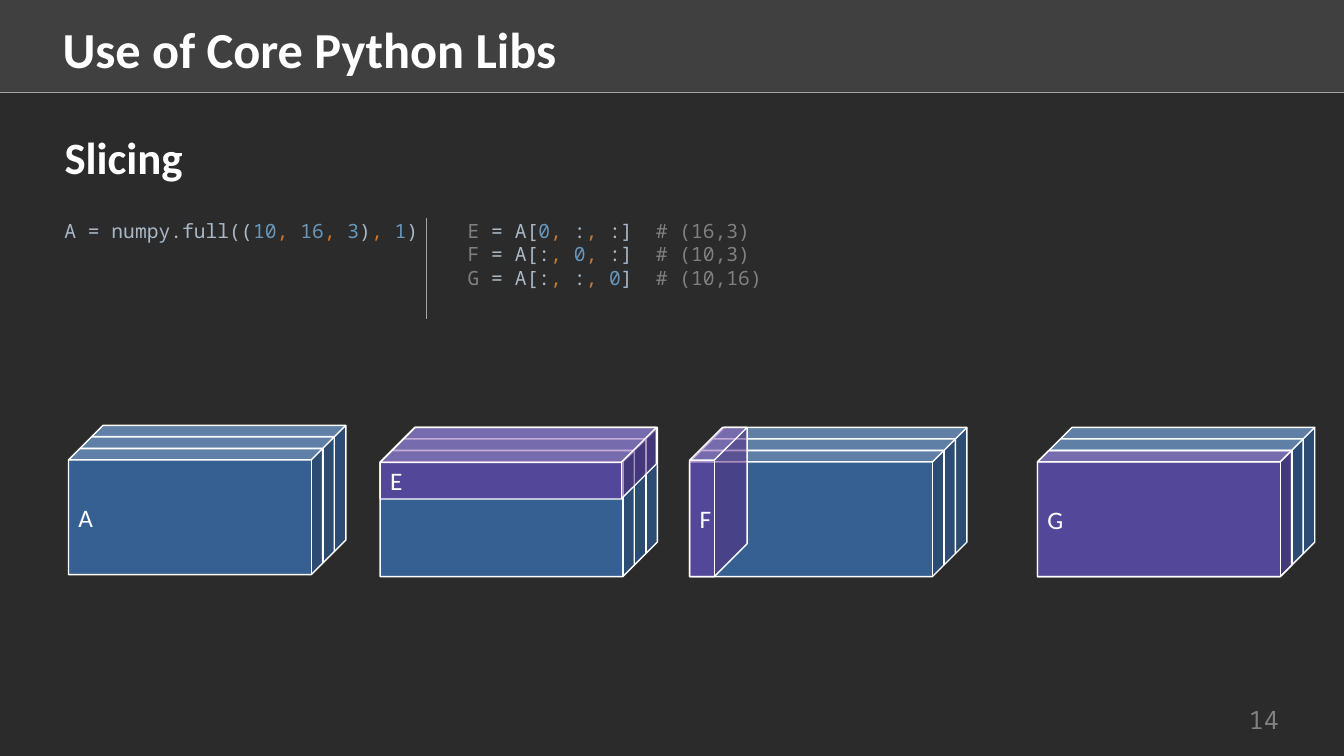
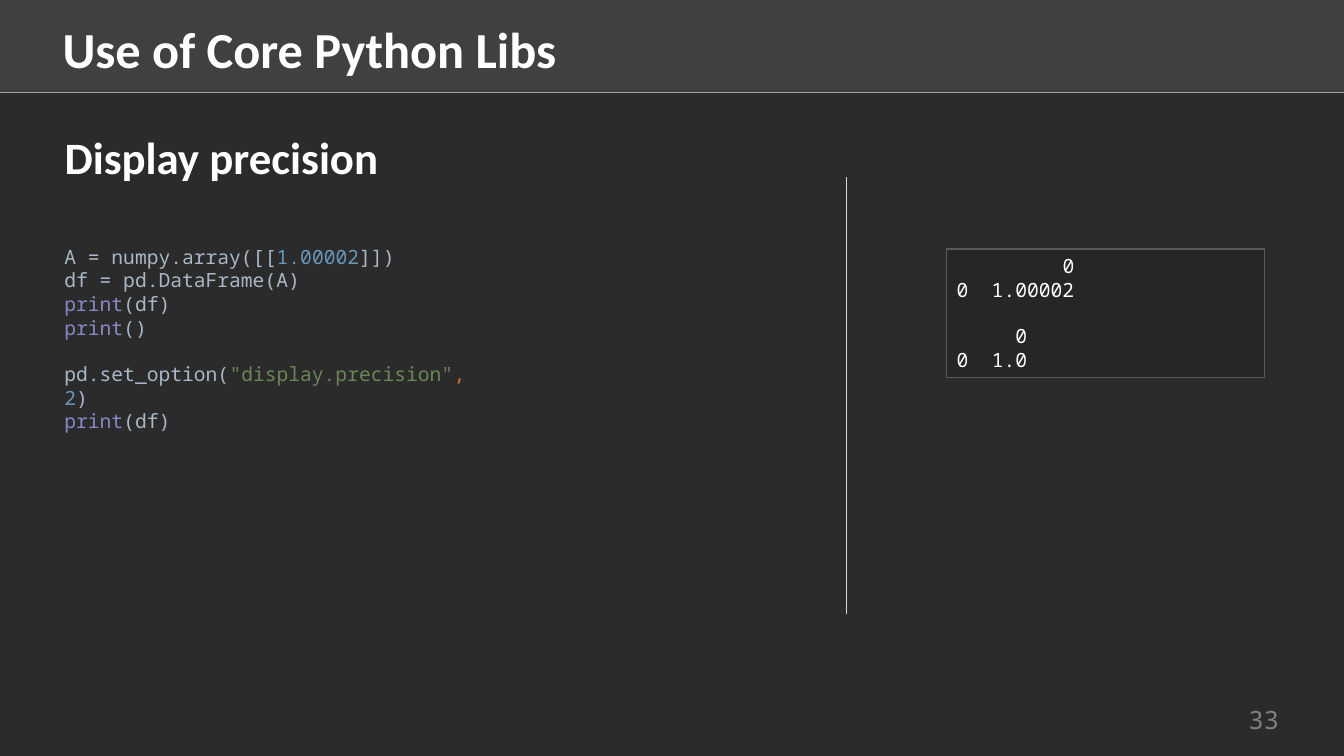
from lxml import etree
from pptx import Presentation
from pptx import util as u
from pptx.dml.color import RGBColor
from pptx.enum import shapes, text
from pptx.oxml import ns

BACKGROUND = RGBColor(0x2B, 0x2B, 0x2B)
BAND = RGBColor(0x40, 0x40, 0x40)
RULE = RGBColor(0xA6, 0xA6, 0xA6)
DIVIDER = RGBColor(0xD9, 0xD9, 0xD9)
WHITE = RGBColor(0xFF, 0xFF, 0xFF)
GRAY = RGBColor(0x80, 0x80, 0x80)
CODE = RGBColor(0xA9, 0xB7, 0xC6)
NUMBER = RGBColor(0x68, 0x97, 0xBB)
COMMA = RGBColor(0xCC, 0x78, 0x32)
BUILTIN = RGBColor(0x88, 0x88, 0xC6)
STRING = RGBColor(0x6A, 0x87, 0x59)
OUTPUT_FILL = RGBColor(0x26, 0x26, 0x26)
OUTPUT_LINE = RGBColor(0x59, 0x59, 0x59)
BLUE = RGBColor(0x37, 0x60, 0x92)
PURPLE = RGBColor(0x70, 0x30, 0xA0)

SANS, MONO = "Calibri", "Noto Sans Mono"
CODE_SIZE = 14
BLANK_LINE = u.Pt(16.5)
CHARACTER = u.Pt(CODE_SIZE * 0.6)
TITLE = "Use of Core Python Libs"
BAND_HEIGHT = 0.92

SEPARATOR = (", ", COMMA)
COLON = (":", CODE)
ZERO = ("0", NUMBER)
PRINT = ("print", BUILTIN)

ARRAY_CODE = [
    [("A = numpy.full((", CODE), ("10", NUMBER), SEPARATOR, ("16", NUMBER), SEPARATOR,
     ("3", NUMBER), (")", CODE), SEPARATOR, ("1", NUMBER), (")", CODE)],
]
SLICES = [
    ("E", [ZERO, COLON, COLON], "# (16,3)"),
    ("F", [COLON, ZERO, COLON], "# (10,3)"),
    ("G", [COLON, COLON, ZERO], "# (10,16)"),
]
PRECISION_CODE = [
    [("A = numpy.array([[", CODE), ("1.00002", NUMBER), ("]])", CODE)],
    [("df = pd.DataFrame(A)", CODE)],
    [PRINT, ("(df)", CODE)],
    [PRINT, ("()", CODE)],
    None,
    [("pd.set_option(", CODE), ('"display.precision"', STRING), SEPARATOR,
     ("2", NUMBER), (")", CODE)],
    [PRINT, ("(df)", CODE)],
]
OUTPUT = [
    (["\t0", "0\t1.00002"], 10),
    (["\t0", "0\t1.0"], 6),
]

CUBE_WIDTH, CUBE_HEIGHT, CUBE_ADJUST = 2.52, 1.25, 0.09
STACK_DEPTH, LAYERS = 0.23, 3
STACKS = [(0.68, 4.22, "A"), (3.77, 4.24, ""), (6.84, 4.24, ""), (10.29, 4.24, "")]
SLICE_CUBES = [
    (3.77, 4.24, 2.74, 0.71, 0.49, "E"),
    (6.84, 4.24, 0.57, 1.48, 0.57, "F"),
    (10.29, 4.47, CUBE_WIDTH, CUBE_HEIGHT, CUBE_ADJUST, "G"),
]


def box(*lengths):
    return [u.Inches(length) for length in lengths]


def place(shape, *lengths):
    shape.left, shape.top, shape.width, shape.height = box(*lengths)


def format_font(font, size, color, name=SANS, bold=False):
    font.size, font.name, font.bold = u.Pt(size), name, bold
    font.color.rgb = color


def add_line(slide, x1, y1, x2, y2, color, width=0.75):
    line = slide.shapes.add_connector(shapes.MSO_CONNECTOR.STRAIGHT, *box(x1, y1, x2, y2))
    line.line.color.rgb = color
    line.line.width = u.Pt(width)
    etree.SubElement(line.element.spPr, ns.qn("a:effectLst"))
    return line


def add_rectangle(slide, bounds, fill, line=None):
    shape = slide.shapes.add_shape(shapes.MSO_SHAPE.RECTANGLE, *box(*bounds))
    shape.shadow.inherit = False
    shape.fill.solid()
    shape.fill.fore_color.rgb = fill
    if line is None:
        shape.line.fill.background()
    else:
        shape.line.color.rgb = line
        shape.line.width = u.Pt(0.75)
    return shape


def add_cube(container, bounds, adjust, fill, label="", alpha=None):
    cube = container.add_shape(shapes.MSO_SHAPE.CUBE, *box(*bounds))
    cube.adjustments[0] = adjust
    cube.shadow.inherit = False
    cube.fill.solid()
    cube.fill.fore_color.rgb = fill
    if alpha is not None:
        color = cube.element.spPr.find(ns.qn("a:solidFill"))[0]
        etree.SubElement(color, ns.qn("a:alpha"), val=str(alpha * 1000))
    cube.line.color.rgb = WHITE
    cube.line.width = u.Pt(1)
    if label:
        cube.text_frame.text = label
        format_font(cube.text_frame.paragraphs[0].runs[0].font, 18, WHITE)


def add_tab(paragraph, characters, alignment):
    tabs = etree.SubElement(paragraph._p.get_or_add_pPr(), ns.qn("a:tabLst"))
    etree.SubElement(tabs, ns.qn("a:tab"), pos=str(int(CHARACTER * characters)), algn=alignment)


def write_code(frame, lines, tab=None):
    frame.word_wrap = True
    paragraph, blank = None, False
    for line in lines:
        if line is None:
            blank = True
            continue
        paragraph = frame.add_paragraph() if paragraph is not None else frame.paragraphs[0]
        paragraph.alignment = text.PP_ALIGN.LEFT
        if blank:
            paragraph.space_before = BLANK_LINE
            blank = False
        if tab:
            add_tab(paragraph, tab, "l")
        for content, color in line:
            run = paragraph.add_run()
            run.text = content
            format_font(run.font, CODE_SIZE, color, MONO)


def add_code(slide, bounds, lines, tab=None):
    write_code(slide.shapes.add_textbox(*box(*bounds)).text_frame, lines, tab)


def add_output(slide, bounds):
    frame = add_rectangle(slide, bounds, OUTPUT_FILL, OUTPUT_LINE).text_frame
    frame.vertical_anchor = text.MSO_ANCHOR.TOP
    lines, columns = [], []
    for rows, width in OUTPUT:
        lines += [[(row, WHITE)] for row in rows] + [None]
        columns += [width] * len(rows)
    write_code(frame, lines)
    for paragraph, width in zip(frame.paragraphs, columns):
        add_tab(paragraph, width, "r")


def prepare_layout(presentation):
    layout = presentation.slide_layouts[1]
    layout.background.fill.solid()
    layout.background.fill.fore_color.rgb = BACKGROUND
    for placeholder in layout.placeholders:
        index = placeholder.placeholder_format.idx
        if index > 1:
            continue
        place(placeholder, *[(0.52, 0.13, 11.89, 0.71), (0.54, 1.24, 7.78, 0.64)][index])
        placeholder.text_frame.vertical_anchor = text.MSO_ANCHOR.TOP
        placeholder.text_frame.auto_size = text.MSO_AUTO_SIZE.NONE
    return layout


def move_bands_to_layout(slide, layout):
    band = add_rectangle(slide, (0, 0, 13.33, BAND_HEIGHT), BAND)
    edge = add_line(slide, 0, BAND_HEIGHT, 13.33, BAND_HEIGHT, RULE, 1)
    for position, shape in enumerate((band, edge), 2):
        layout.shapes.element.insert(position, shape.element)


def add_slide(presentation, layout, heading, number):
    slide = presentation.slides.add_slide(layout)
    for placeholder, content, size in zip(slide.placeholders, (TITLE, heading), (36, 32)):
        placeholder.text_frame.text = content
        paragraph = placeholder.text_frame.paragraphs[0]
        paragraph.alignment = text.PP_ALIGN.LEFT
        paragraph.space_before = u.Pt(0)
        properties = paragraph._p.get_or_add_pPr()
        properties.set("marL", "0")
        properties.set("indent", "0")
        etree.SubElement(properties, ns.qn("a:buNone"))
        format_font(paragraph.runs[0].font, size, WHITE, bold=True)
    frame = slide.shapes.add_textbox(*box(12.1, 6.98, 0.87, 0.31)).text_frame
    frame.word_wrap = True
    frame.vertical_anchor = text.MSO_ANCHOR.MIDDLE
    frame.text = str(number)
    frame.paragraphs[0].alignment = text.PP_ALIGN.CENTER
    format_font(frame.paragraphs[0].runs[0].font, 18, GRAY, MONO)
    return slide


def build_slicing(slide):
    add_code(slide, (0.54, 2.12, 3.92, 0.34), ARRAY_CODE)
    slice_lines = [
        [(name + " ", GRAY), ("= A[", CODE), first, SEPARATOR, second, SEPARATOR, third,
         ("]\t", CODE), (comment, GRAY)]
        for name, (first, second, third), comment in SLICES
    ]
    add_code(slide, (4.54, 2.12, 3.23, 0.81), slice_lines, tab=16)
    add_line(slide, 4.23, 2.16, 4.23, 3.16, RULE)
    for left, top, label in STACKS:
        group = slide.shapes.add_group_shape()
        for layer in range(LAYERS):
            shift = STACK_DEPTH * layer / (LAYERS - 1)
            bounds = (left + STACK_DEPTH - shift, top + shift, CUBE_WIDTH, CUBE_HEIGHT)
            front = layer == LAYERS - 1
            add_cube(group.shapes, bounds, CUBE_ADJUST, BLUE, label if front else "")
    for *bounds, adjust, label in SLICE_CUBES:
        add_cube(slide.shapes, bounds, adjust, PURPLE, label, alpha=50)


def build_precision(slide):
    add_output(slide, (9.39, 2.47, 3.15, 1.28))
    add_line(slide, 8.4, 1.76, 8.4, 6.09, DIVIDER)
    add_code(slide, (0.54, 2.38, 4.22, 1.95), PRECISION_CODE)


def main():
    presentation = Presentation()
    presentation.slide_width, presentation.slide_height = box(13.33, 7.5)
    layout = prepare_layout(presentation)
    slicing = add_slide(presentation, layout, "Slicing", 14)
    move_bands_to_layout(slicing, layout)
    build_slicing(slicing)
    build_precision(add_slide(presentation, layout, "Display precision", 33))
    presentation.save("out.pptx")


if __name__ == "__main__":
    main()
